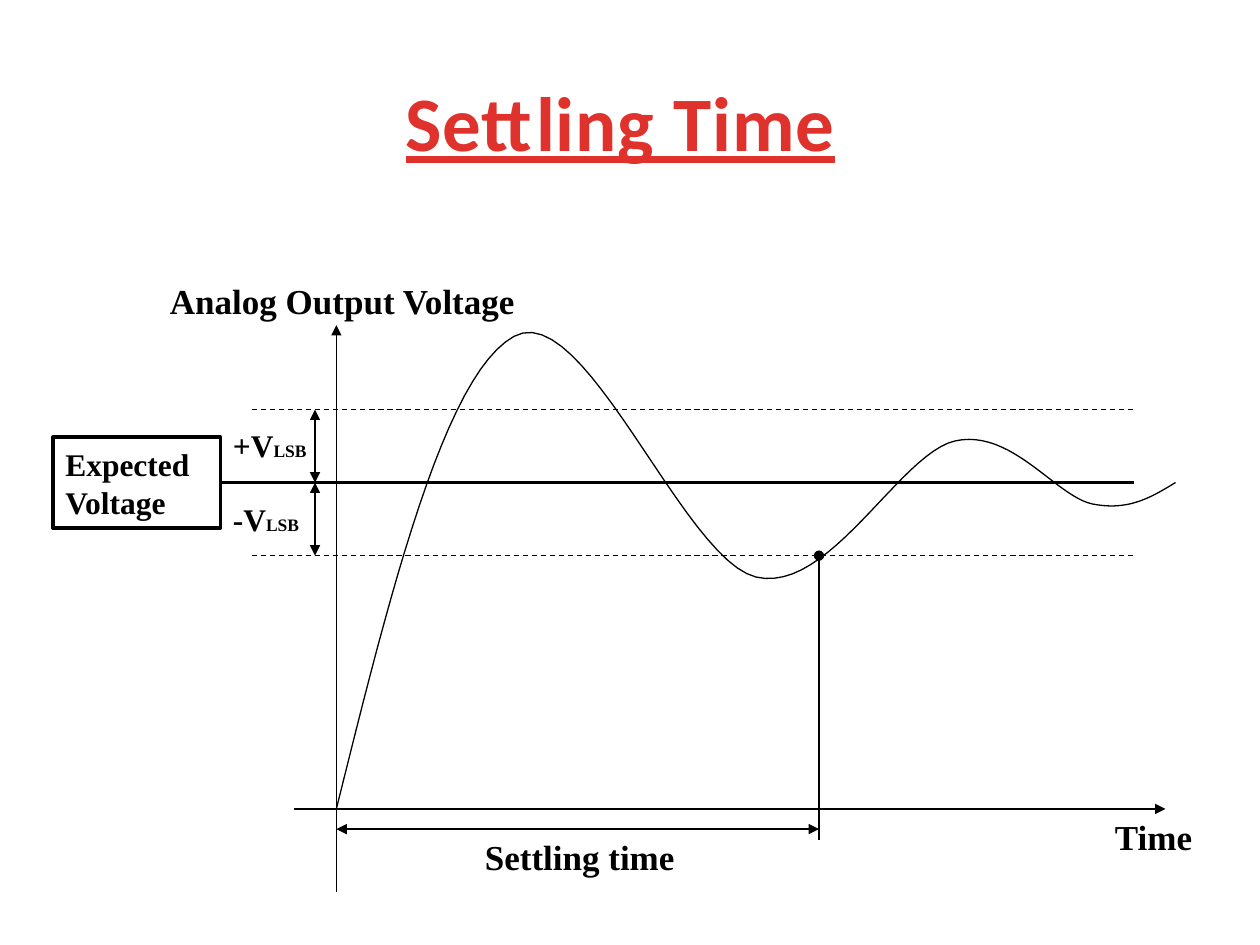
from pptx import Presentation
from pptx.dml.color import RGBColor
from pptx.enum.dml import MSO_LINE
from pptx.enum.shapes import MSO_CONNECTOR as CONN, MSO_SHAPE as SHAPE
from pptx.enum.text import MSO_ANCHOR as ANCHOR, PP_ALIGN as ALIGN
from pptx.oxml.ns import qn
from pptx.util import Inches, Pt
from lxml.etree import SubElement

color = RGBColor.from_string
BLACK = "000000"

deck = Presentation()
deck.slide_width, deck.slide_height = Inches(10), Inches(7.5)
slide = deck.slides.add_slide(deck.slide_layouts[5])
shapes = slide.shapes


def draw_line(x1, y1, x2, y2, width=0.75, head=None, tail=None):
    line = shapes.add_connector(CONN.STRAIGHT, Inches(x1), Inches(y1),
                                Inches(x2), Inches(y2))
    line.line.color.rgb = color(BLACK)
    line.line.width = Pt(width)
    for end, kind in (("a:headEnd", head), ("a:tailEnd", tail)):
        if kind:
            SubElement(line.line._get_or_add_ln(), qn(end), type=kind)
    SubElement(line._element.spPr, qn("a:effectLst"))
    return line


def write(shape, *runs):
    frame = shape.text_frame
    frame.word_wrap = True
    para = frame.paragraphs[0]
    para.alignment = ALIGN.LEFT
    for text, size in runs:
        run = para.add_run()
        run.text = text
        font = run.font
        font.name, font.size, font.bold = "Times New Roman", Pt(size), True
        font.color.rgb = color(BLACK)


# Title
title = shapes.title
title.left, title.top = Inches(1), Inches(0.42)
title.width, title.height = Inches(7.85), Inches(1.08)
title.text_frame.vertical_anchor = ANCHOR.MIDDLE
para = title.text_frame.paragraphs[0]
para.alignment = ALIGN.CENTER
run = para.add_run()
run.text = "Settling Time"
font = run.font
font.name, font.size = "Calibri", Pt(44)
font.bold = font.underline = True
font.color.rgb = color("E0322D")
run._r.get_or_add_rPr().set("spc", "50")

# Key positions on the graph
left, base = 2.67, 6.42
level, band = 3.83, 0.58
settle = 6.5

# Axes
draw_line(left, 7.08, left, 2.58, tail="triangle")
draw_line(2.33, base, 9.25, base, tail="triangle")

# Expected voltage box and its level line
box = shapes.add_shape(SHAPE.RECTANGLE, Inches(0.42), Inches(level - 0.36),
                       Inches(1.33), Inches(0.72))
box.shadow.inherit = False
box.fill.background()
box.line.color.rgb = color(BLACK)
box.line.width = Pt(2)
write(box, ("Expected Voltage", 18))
line = draw_line(1.75, level, 9, level, width=2)
line.begin_connect(box, 3)

# Tolerance band: dashed limits and their spans
for edge in (level - band, level + band):
    limit = draw_line(2, edge, 9, edge)
    limit.line.dash_style = MSO_LINE.DASH
    draw_line(2.5, min(edge, level), 2.5, max(edge, level),
              head="triangle", tail="triangle")

# Response curve, sampled from cubic segments
start = (left, base)
arcs = [
    ((3.1, 4.69), (3.53, 2.97), (4.08, 2.67)),
    ((4.64, 2.36), (5.42, 4.44), (6, 4.58)),
    ((6.58, 4.72), (7.14, 3.6), (7.58, 3.5)),
    ((8.03, 3.4), (8.38, 3.94), (8.67, 4)),
    ((8.96, 4.06), (9.15, 3.94), (9.33, 3.83)),
]
steps = 24
points = []
last = start
for arc in arcs:
    for step in range(1, steps + 1):
        t = step / steps
        u = 1 - t
        points.append(tuple(
            Inches(u**3 * a + 3 * u * u * t * b + 3 * u * t * t * c + t**3 * d)
            for a, b, c, d in zip(last, *arc)))
    last = arc[-1]
pen = shapes.build_freeform(Inches(left), Inches(base))
pen.add_line_segments(points, close=False)
curve = pen.convert_to_shape()
curve.shadow.inherit = False
curve.fill.background()
curve.line.color.rgb = color(BLACK)
curve.line.width = Pt(0.75)

# Settling point and time span
draw_line(settle, level + band, settle, 6.67, head="oval")
draw_line(left, 6.58, settle, 6.58, head="triangle", tail="triangle")

# Labels
labels = [
    (1.25, 2.17, 3, 0.43, [("Analog Output Voltage", 20)]),
    (1.75, 3.33, 1.17, 0.4, [("+V", 18), ("LSB", 10)]),
    (1.75, 3.92, 1.17, 0.4, [("-V", 18), ("LSB", 10)]),
    (3.75, 6.58, 2.33, 0.43, [("Settling time", 20)]),
    (8.75, 6.42, 1.25, 0.43, [("Time", 20)]),
]
for x, y, w, h, runs in labels:
    write(shapes.add_textbox(Inches(x), Inches(y), Inches(w), Inches(h)), *runs)

deck.save("out.pptx")
